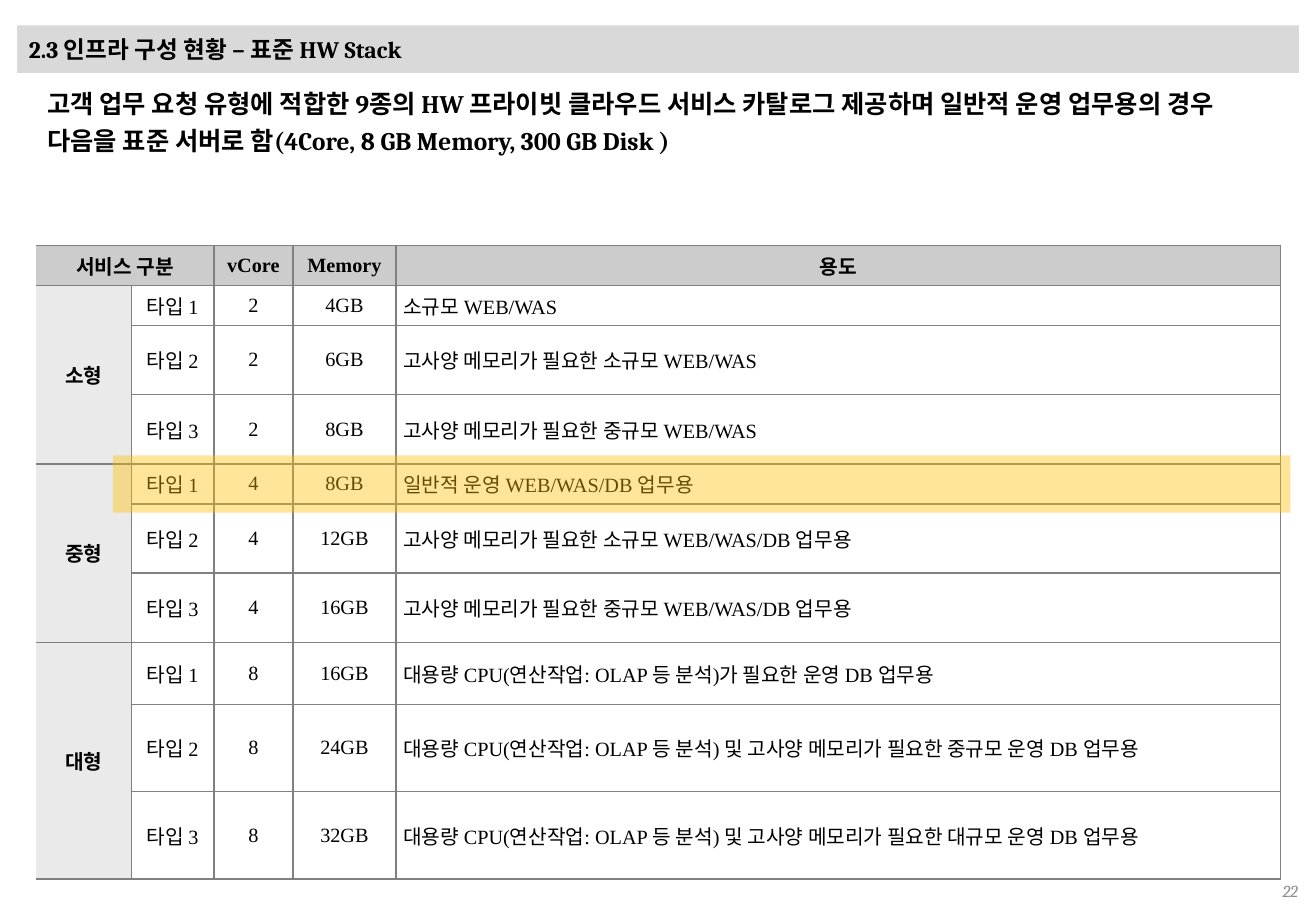
from dataclasses import dataclass

from lxml import etree
from pptx import Presentation
from pptx.dml.color import RGBColor
from pptx.enum.shapes import MSO_SHAPE
from pptx.enum.text import MSO_ANCHOR, PP_ALIGN
from pptx.oxml.ns import qn
from pptx.util import Inches, Pt

LEFT, CENTER, RIGHT = PP_ALIGN.LEFT, PP_ALIGN.CENTER, PP_ALIGN.RIGHT
TOP, MIDDLE = MSO_ANCHOR.TOP, MSO_ANCHOR.MIDDLE
RECTANGLE = MSO_SHAPE.RECTANGLE


@dataclass(frozen=True)
class Theme:
    heading_font: str = "Cambria"
    table_font: str = "Times New Roman"
    text: str = "000000"
    page_number: str = "8C8C8C"
    title_band: str = "D9D9D9"
    header: str = "CCCCCC"
    group: str = "EAEAEA"
    type_cell: str = "FFFFFF"
    border: str = "808080"
    highlight: str = "FFC000"
    highlight_alpha: int = 40
    title_size: int = 14
    message_size: int = 15
    table_size: int = 12
    page_size: int = 10


THEME = Theme()

TITLE = "2.3 인프라 구성 현황 – 표준 HW Stack"
MESSAGE = (
    "고객 업무 요청 유형에 적합한 9종의 HW 프라이빗 클라우드 서비스 카탈로그 제공하며 "
    "일반적 운영 업무용의 경우 다음을 표준 서버로 함(4Core, 8 GB Memory, 300 GB Disk )"
)
PAGE_NUMBER = "22"
HEADERS = ["서비스 구분", "", "vCore", "Memory", "용도"]
SERVER_GROUPS = [
    ("소형", "2", [
        ("4GB", "소규모 WEB/WAS"),
        ("6GB", "고사양 메모리가 필요한 소규모 WEB/WAS"),
        ("8GB", "고사양 메모리가 필요한 중규모 WEB/WAS"),
    ]),
    ("중형", "4", [
        ("8GB", "일반적 운영 WEB/WAS/DB 업무용"),
        ("12GB", "고사양 메모리가 필요한 소규모 WEB/WAS/DB 업무용"),
        ("16GB", "고사양 메모리가 필요한 중규모 WEB/WAS/DB 업무용"),
    ]),
    ("대형", "8", [
        ("16GB", "대용량 CPU(연산작업: OLAP 등 분석)가 필요한 운영 DB 업무용"),
        ("24GB", "대용량 CPU(연산작업: OLAP 등 분석) 및 고사양 메모리가 필요한 중규모 운영 DB 업무용"),
        ("32GB", "대용량 CPU(연산작업: OLAP 등 분석) 및 고사양 메모리가 필요한 대규모 운영 DB 업무용"),
    ]),
]
COLUMN_WIDTHS = [0.78, 0.68, 0.65, 0.85, 7.28]
ROW_HEIGHTS = [0.33, 0.33, 0.57, 0.57, 0.33, 0.57, 0.57, 0.51, 0.72, 0.72]


def write_text(frame, text, *, size, font=THEME.heading_font, color=THEME.text,
               bold=False, italic=False, align=LEFT, line_spacing=None):
    paragraph = frame.paragraphs[0]
    paragraph.alignment = align
    if line_spacing:
        paragraph.line_spacing = line_spacing
    run = paragraph.add_run()
    run.text = text
    run.font.name = font
    run.font.size = Pt(size)
    run.font.bold = bold
    run.font.italic = italic
    run.font.color.rgb = RGBColor.from_string(color)


def prepare_frame(frame, anchor, horizontal=0.1, vertical=0.05):
    frame.word_wrap = True
    frame.vertical_anchor = anchor
    frame.margin_left = frame.margin_right = Inches(horizontal)
    frame.margin_top = frame.margin_bottom = Inches(vertical)
    return frame


def add_text_box(slide, box, anchor, **margins):
    shape = slide.shapes.add_textbox(*map(Inches, box))
    return prepare_frame(shape.text_frame, anchor, **margins)


def add_rectangle(slide, box, color):
    shape = slide.shapes.add_shape(RECTANGLE, *map(Inches, box))
    shape.shadow.inherit = False
    shape.fill.solid()
    shape.fill.fore_color.rgb = RGBColor.from_string(color)
    shape.line.fill.background()
    return shape


def set_borders(cell, has_left):
    properties = cell._tc.get_or_add_tcPr()
    for index, side in enumerate(("lnL", "lnR", "lnT", "lnB")):
        line = etree.Element(qn(f"a:{side}"), w=str(Pt(1)))
        if side == "lnL" and not has_left:
            etree.SubElement(line, qn("a:noFill"))
        else:
            fill = etree.SubElement(line, qn("a:solidFill"))
            etree.SubElement(fill, qn("a:srgbClr"), val=THEME.border)
        properties.insert(index, line)


def cell_fill(row, column):
    if row == 0:
        return THEME.header
    return {0: THEME.group, 1: THEME.type_cell}.get(column)


def add_server_table(slide, left, top):
    rows = [HEADERS]
    for name, cores, servers in SERVER_GROUPS:
        for number, (memory, purpose) in enumerate(servers, 1):
            rows.append([name if number == 1 else "", f"타입 {number}", cores, memory, purpose])

    box = (left, top, sum(COLUMN_WIDTHS), sum(ROW_HEIGHTS))
    table = slide.shapes.add_table(len(rows), len(HEADERS), *map(Inches, box)).table
    table.first_row = table.horz_banding = False
    for column, width in zip(table.columns, COLUMN_WIDTHS):
        column.width = Inches(width)
    for row, height in zip(table.rows, ROW_HEIGHTS):
        row.height = Inches(height)

    for r, values in enumerate(rows):
        for c, value in enumerate(values):
            cell = table.cell(r, c)
            cell.vertical_anchor = MIDDLE
            cell.margin_left = cell.margin_right = Inches(0.06)
            cell.margin_top = cell.margin_bottom = Inches(0.04)
            color = cell_fill(r, c)
            if color:
                cell.fill.solid()
                cell.fill.fore_color.rgb = RGBColor.from_string(color)
            else:
                cell.fill.background()
            set_borders(cell, has_left=c > 0)
            if value:
                write_text(cell.text_frame, value, size=THEME.table_size,
                           font=THEME.table_font, bold=r == 0 or c == 0,
                           align=LEFT if r and c == len(values) - 1 else CENTER)

    table.cell(0, 0).merge(table.cell(0, 1))
    first = 1
    for _, _, servers in SERVER_GROUPS:
        last = first + len(servers) - 1
        table.cell(first, 0).merge(table.cell(last, 0))
        first = last + 1


presentation = Presentation()
presentation.slide_width = Inches(10.83)
presentation.slide_height = Inches(7.5)
slide = presentation.slides.add_slide(presentation.slide_layouts[6])

page_frame = add_text_box(slide, (8.25, 7.21, 2.53, 0.24), MIDDLE)
write_text(page_frame, PAGE_NUMBER, size=THEME.page_size, color=THEME.page_number,
           italic=True, align=RIGHT)

title_band = add_rectangle(slide, (0.14, 0.21, 10.55, 0.39), THEME.title_band)
write_text(prepare_frame(title_band.text_frame, MIDDLE), TITLE,
           size=THEME.title_size, bold=True)

add_server_table(slide, 0.3, 2.02)

message_frame = add_text_box(slide, (0.31, 0.6, 10.23, 0.81), TOP,
                             horizontal=0.08, vertical=0.08)
write_text(message_frame, MESSAGE, size=THEME.message_size, bold=True, line_spacing=1.2)

highlight = add_rectangle(slide, (0.93, 3.75, 9.69, 0.47), THEME.highlight)
highlight_color = highlight._element.spPr.find(qn("a:solidFill")).find(qn("a:srgbClr"))
etree.SubElement(highlight_color, qn("a:alpha"), val=str(THEME.highlight_alpha * 1000))

presentation.save("out.pptx")
